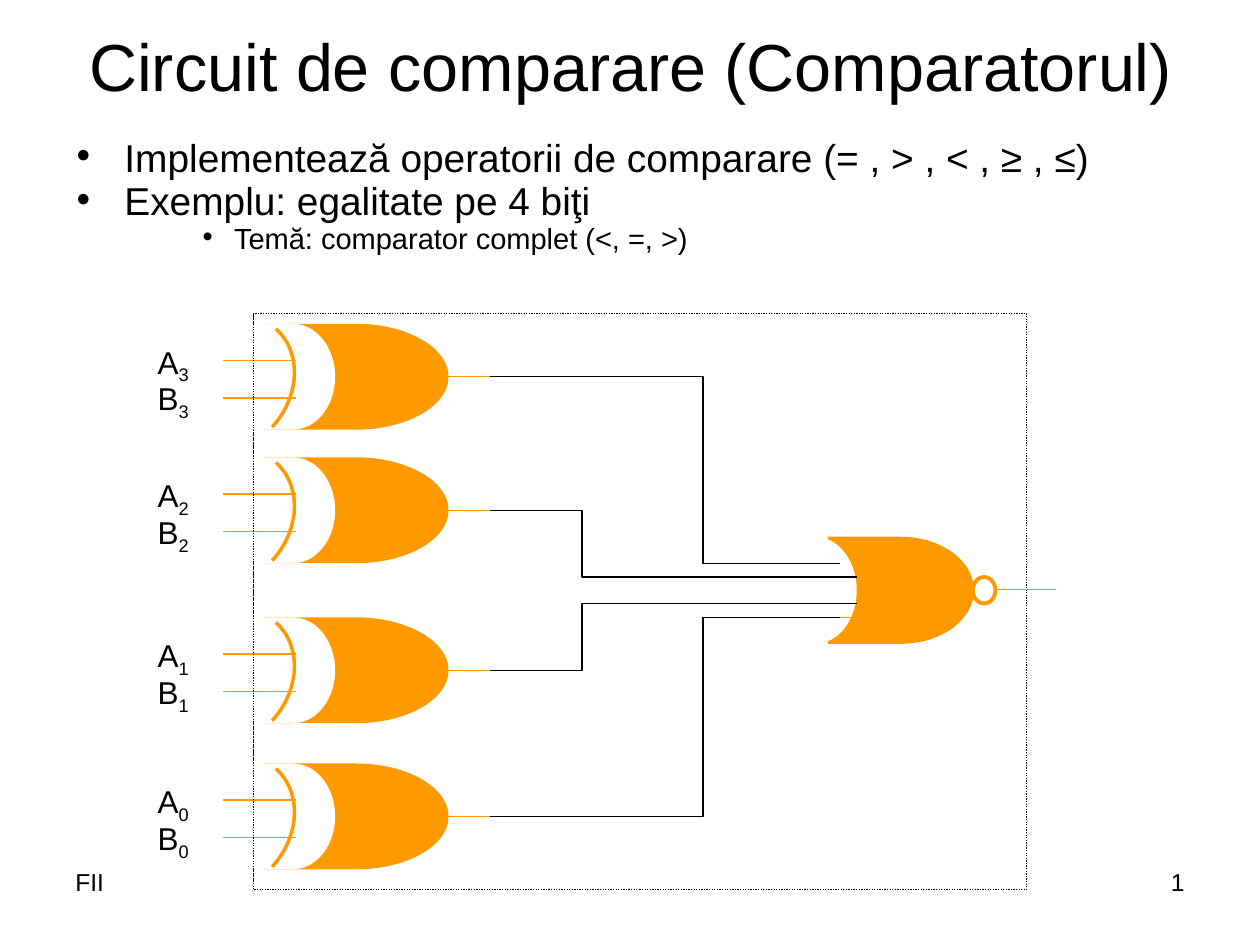
from dataclasses import dataclass

from lxml.etree import SubElement
from pptx import Presentation
from pptx.dml.color import RGBColor
from pptx.enum.dml import MSO_LINE
from pptx.enum.shapes import MSO_CONNECTOR, MSO_SHAPE
from pptx.enum.text import MSO_ANCHOR, PP_ALIGN
from pptx.oxml.ns import qn
from pptx.util import Inches, Pt

COLORS = {"text": "000000", "gate": "FF9900", "paper": "FFFFFF"}
FONT = "Arial"
GATE_HEIGHT = 0.84
OUTPUT_X = 3.89
ARC = ((2.19, 0.04), (2.40, 0.23), (2.38, 0.58), (2.16, 0.82))
ARC_STEPS = 24


@dataclass
class Gate:
    index: str
    top: float
    turn_x: float
    end_x: float
    end_y: float

    @property
    def middle(self) -> float:
        return self.top + GATE_HEIGHT / 2


@dataclass
class Bullet:
    text: str
    size: float
    level: int
    margin: float
    hanging: float
    space_before: float


GATES = [
    Gate("3", 2.57, 5.58, 6.67, 4.47),
    Gate("2", 3.63, 4.62, 6.80, 4.58),
    Gate("1", 4.90, 4.62, 6.80, 4.79),
    Gate("0", 6.06, 5.58, 6.67, 4.90),
]
BULLETS = [
    Bullet("Implementează operatorii de comparare (= , > , < , ≥ , ≤)", 22.2, 0, 0.38, 0.38, 0),
    Bullet("Exemplu: egalitate pe 4 biţi", 22.2, 0, 0.38, 0.38, 6),
    Bullet("Temă: comparator complet (<, =, >)", 16.6, 2, 1.25, 0.25, 4.5),
]


def color(name: str) -> RGBColor:
    return RGBColor.from_string(COLORS[name])


def style_font(font, size: float) -> None:
    font.name = FONT
    font.size = Pt(size)
    font.color.rgb = color("text")


def add_text(slide, text: str, left: float, top: float, width: float, height: float,
             size: float, alignment=PP_ALIGN.LEFT, anchor=MSO_ANCHOR.TOP):
    box = slide.shapes.add_textbox(Inches(left), Inches(top), Inches(width), Inches(height))
    frame = box.text_frame
    frame.word_wrap = True
    frame.vertical_anchor = anchor
    frame.text = text
    paragraph = frame.paragraphs[0]
    paragraph.alignment = alignment
    for run in paragraph.runs:
        style_font(run.font, size)
    return box


def add_outline(slide, kind, left: float, top: float, width: float, height: float,
                fill: str = "", line: str = "", line_width: float = 0.75):
    shape = slide.shapes.add_shape(kind, Inches(left), Inches(top), Inches(width), Inches(height))
    shape.shadow.inherit = False
    if fill:
        shape.fill.solid()
        shape.fill.fore_color.rgb = color(fill)
    else:
        shape.fill.background()
    if line:
        shape.line.color.rgb = color(line)
        shape.line.width = Pt(line_width)
    else:
        shape.line.fill.background()
    return shape


def add_line(slide, start_x: float, start_y: float, end_x: float, end_y: float, line: str):
    connector = slide.shapes.add_connector(
        MSO_CONNECTOR.STRAIGHT, Inches(start_x), Inches(start_y), Inches(end_x), Inches(end_y))
    connector.line.color.rgb = color(line)
    connector.line.width = Pt(0.75)
    SubElement(connector.element.spPr, qn("a:effectLst"))
    return connector


def add_path(slide, points: list[tuple[float, float]], line: str, line_width: float) -> None:
    corners = [(Inches(x), Inches(y)) for x, y in points]
    builder = slide.shapes.build_freeform(*corners[0])
    builder.add_line_segments(corners[1:], close=False)
    shape = builder.convert_to_shape()
    shape.shadow.inherit = False
    shape.fill.background()
    shape.line.color.rgb = color(line)
    shape.line.width = Pt(line_width)


def arc_point(t: float, top: float) -> tuple[float, float]:
    weights = ((1 - t) ** 3, 3 * t * (1 - t) ** 2, 3 * t ** 2 * (1 - t), t ** 3)
    x = sum(weight * point[0] for weight, point in zip(weights, ARC))
    y = sum(weight * point[1] for weight, point in zip(weights, ARC))
    return x, top + y


def add_input(slide, name: str, index: str, label_top: float, line_y: float) -> None:
    box = add_text(slide, name, 0.98, label_top, 0.79, 0.44, 18, PP_ALIGN.CENTER)
    subscript = box.text_frame.paragraphs[0].add_run()
    subscript.text = index
    style_font(subscript.font, 18)
    subscript.font._element.set("baseline", "-25000")
    add_line(slide, 1.77, line_y, 2.35, line_y, "gate")


def add_xor_gate(slide, gate: Gate) -> None:
    add_outline(slide, MSO_SHAPE.FLOWCHART_DELAY, 2.09, gate.top, 1.47, GATE_HEIGHT, "gate")
    add_outline(slide, MSO_SHAPE.FLOWCHART_DELAY, 1.99, gate.top, 0.67, GATE_HEIGHT, "paper")
    add_input(slide, "A", gate.index, gate.top + 0.10, gate.top + 0.29)
    add_input(slide, "B", gate.index, gate.top + 0.39, gate.top + 0.59)
    add_line(slide, 3.48, gate.middle, OUTPUT_X, gate.middle, "gate")
    arc = [arc_point(step / ARC_STEPS, gate.top) for step in range(ARC_STEPS + 1)]
    add_path(slide, arc, "gate", 2)


def add_nor_gate(slide) -> None:
    add_line(slide, 7.90, 4.68, 8.38, 4.68, "gate")
    add_outline(slide, MSO_SHAPE.FLOWCHART_DELAY, 6.57, 4.26, 1.16, 0.85, "gate")
    add_outline(slide, MSO_SHAPE.FLOWCHART_DELAY, 6.14, 4.26, 0.66, 0.85, "paper")
    add_line(slide, 6.40, 4.90, 6.91, 4.90, "gate")
    add_outline(slide, MSO_SHAPE.FLOWCHART_CONNECTOR, 7.72, 4.58, 0.18, 0.21,
                line="gate", line_width=2.25)


def add_wire(slide, gate: Gate) -> None:
    add_path(slide, [(OUTPUT_X, gate.middle), (gate.turn_x, gate.middle),
                     (gate.turn_x, gate.end_y), (gate.end_x, gate.end_y)], "text", 0.75)


def add_bullets(slide, bullets: list[Bullet]) -> None:
    box = slide.shapes.add_textbox(Inches(0.51), Inches(1.07), Inches(8.9), Inches(1.18))
    frame = box.text_frame
    frame.word_wrap = True
    frame.margin_top = Inches(0.09)
    frame.text = "\n".join(bullet.text for bullet in bullets)
    for paragraph, bullet in zip(frame.paragraphs, bullets):
        properties = paragraph._p.get_or_add_pPr()
        properties.set("marL", str(Inches(bullet.margin)))
        properties.set("indent", str(-Inches(bullet.hanging)))
        bullet_color = SubElement(properties, qn("a:buClr"))
        SubElement(bullet_color, qn("a:srgbClr"), val=COLORS["text"])
        SubElement(properties, qn("a:buFont"), typeface=FONT)
        SubElement(properties, qn("a:buChar"), char="•")
        paragraph.level = bullet.level
        paragraph.line_spacing = 0.7
        paragraph.space_before = Pt(bullet.space_before)
        style_font(paragraph.runs[0].font, bullet.size)


def main() -> None:
    presentation = Presentation()
    presentation.slide_width = Inches(10)
    presentation.slide_height = Inches(7.5)
    slide = presentation.slides.add_slide(presentation.slide_layouts[6])

    border = add_outline(slide, MSO_SHAPE.RECTANGLE, 2.01, 2.49, 6.14, 4.57, line="text")
    border.line.dash_style = MSO_LINE.ROUND_DOT
    add_text(slide, "Circuit de comparare (Comparatorul)", 0.51, 0.21, 9, 0.61, 38,
             PP_ALIGN.CENTER, MSO_ANCHOR.MIDDLE)
    add_bullets(slide, BULLETS)
    for gate in GATES:
        add_xor_gate(slide, gate)
    add_nor_gate(slide)
    for gate in GATES:
        add_wire(slide, gate)
    edge = add_line(slide, 2.01, 2.49, 2.01, 6.98, "text")
    edge.line.dash_style = MSO_LINE.ROUND_DOT
    add_text(slide, "1", 7.17, 6.83, 2.33, 0.52, 14, PP_ALIGN.RIGHT)
    add_text(slide, "FII", 0.50, 6.83, 2.33, 0.52, 14)
    presentation.save("out.pptx")


if __name__ == "__main__":
    main()
